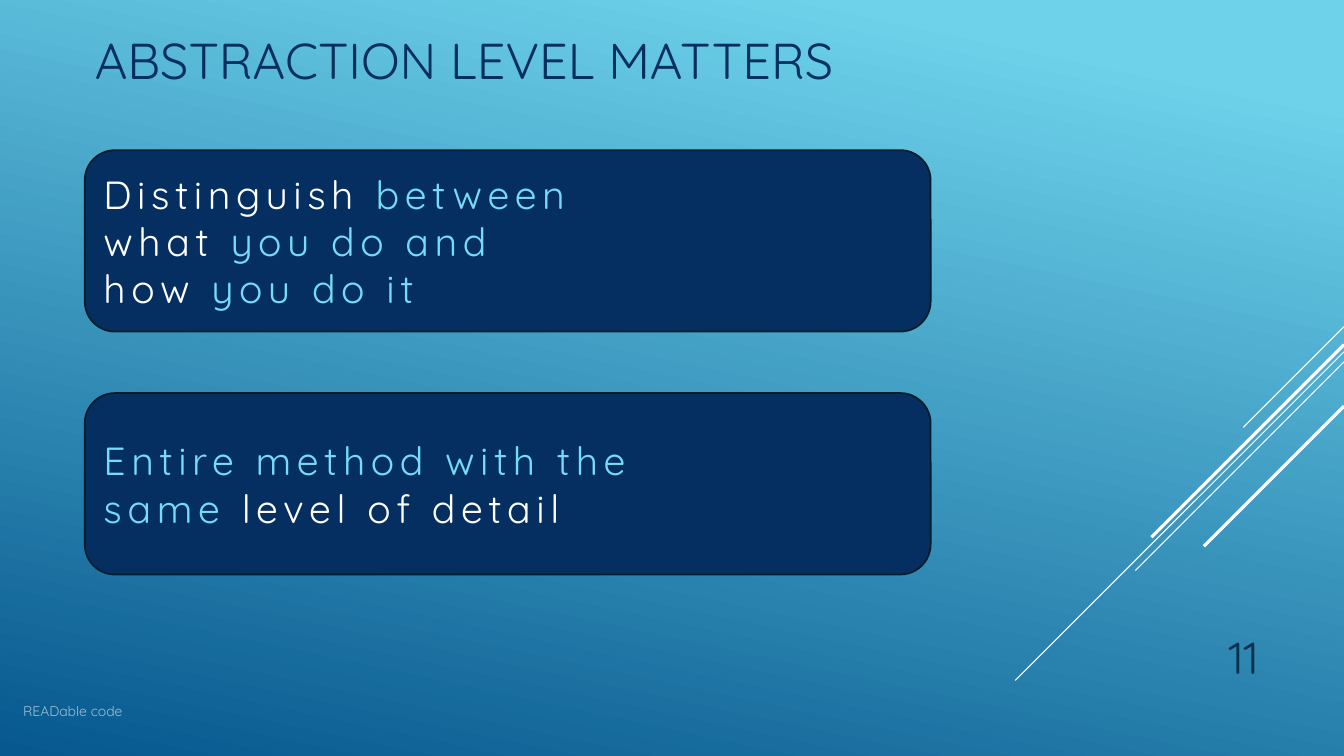
import pptx
import pptx.util
import pptx.dml.color
import pptx.enum.shapes
import pptx.enum.text
import pptx.oxml.ns
from lxml import etree

Inches = pptx.util.Inches
ALIGN = pptx.enum.text.PP_ALIGN
ANCHOR = pptx.enum.text.MSO_ANCHOR
NAVY, SKY, WHITE = "052F61", "76DBF4", "FFFFFF"


def paint(color, code):
    """Set a colour from a hex string."""
    color.rgb = pptx.dml.color.RGBColor.from_string(code)


def write(frame, lines, size, color=WHITE, anchor=ANCHOR.MIDDLE,
          align=ALIGN.LEFT, after=0, gap=0, alpha=None):
    """Write lines of (text, colour) runs, or plain text, into a frame."""
    frame.word_wrap = True
    frame.vertical_anchor = anchor
    if isinstance(lines, str):
        lines = [[(lines, color)]]
    for i, line in enumerate(lines):
        para = frame.add_paragraph() if i else frame.paragraphs[0]
        para.alignment = align
        para.space_after = pptx.util.Pt(after)
        for text, code in line:
            run = para.add_run()
            run.text = text
            run.font.name = "Quicksand"
            run.font.size = pptx.util.Pt(size)
            paint(run.font.color, code)
            props = run.font._element
            if gap:
                props.set("spc", str(gap * 100))
            if alpha:
                fill = props.find(".//" + pptx.oxml.ns.qn("a:srgbClr"))
                etree.SubElement(fill, pptx.oxml.ns.qn("a:alpha"), val=str(alpha * 1000))


def backdrop(slide):
    """Fill the background with the slanted blue gradient."""
    fill = slide.background.fill
    fill.gradient()
    fill.gradient_angle = 258
    for stop, place, code in zip(fill.gradient_stops, (0.1, 1), ("6ED2EB", "06588E")):
        stop.position = place
        paint(stop.color, code)


def rays(slide, right):
    """Draw diagonal lines running down and left from the right edge."""
    for top, run, width in ((3.24, 1, 0.75), (3.49, 3.26, 0.75), (3.59, 2.07, 0.75),
                            (3.42, 1.91, 2.25), (4.03, 1.39, 2.25)):
        ray = slide.shapes.add_connector(
            pptx.enum.shapes.MSO_CONNECTOR.STRAIGHT, Inches(right), Inches(top),
            Inches(right - run), Inches(top + run))
        paint(ray.line.color, WHITE)
        ray.line.width = pptx.util.Pt(width)
        etree.SubElement(ray._element.spPr, pptx.oxml.ns.qn("a:effectLst"))


def heading(slide, box, text):
    """Place the title placeholder in the box."""
    title = slide.shapes.title
    title.left, title.top, title.width, title.height = map(Inches, box)
    write(title.text_frame, text, 36, color=NAVY)


def card(slide, box, lines):
    """Draw a rounded navy card with spaced text."""
    shape = slide.shapes.add_shape(
        pptx.enum.shapes.MSO_SHAPE.ROUNDED_RECTANGLE, *map(Inches, box))
    shape.shadow.inherit = False
    shape.fill.solid()
    paint(shape.fill.fore_color, NAVY)
    paint(shape.line.color, "021E2B")
    shape.line.width = pptx.util.Pt(1.25)
    write(shape.text_frame, lines, 28, gap=4)


def label(slide, box, text, size, **style):
    """Add a text box in the box."""
    write(slide.shapes.add_textbox(*map(Inches, box)).text_frame, text, size, **style)


def main():
    """Build and save the slide."""
    deck = pptx.Presentation()
    deck.slide_width, deck.slide_height = Inches(13.33), Inches(7.5)
    slide = deck.slides.add_slide(deck.slide_layouts[5])
    backdrop(slide)
    rays(slide, 13.33)
    heading(slide, (0.84, -0.01, 9.33, 1.19), "ABSTRACTION LEVEL MATTERS")
    cards = (
        [[("Distinguish", WHITE), (" between", SKY)],
         [("what", WHITE), (" you do and", SKY)],
         [("how", WHITE), (" you do it", SKY)]],
        [[("Entire method with the", SKY)],
         [("same ", SKY), ("level of detail", WHITE)]],
    )
    for i, lines in enumerate(cards):
        card(slide, (0.84, 1.49 + i * 2.41, 8.39, 1.8), lines)
    label(slide, (11.33, 6.1, 1.25, 0.73), "11", 32, color="0A304A",
          anchor=ANCHOR.BOTTOM, align=ALIGN.RIGHT, after=6)
    label(slide, (0.13, 6.92, 8.25, 0.4), "READable code", 10,
          anchor=ANCHOR.TOP, alpha=60)
    deck.save("out.pptx")


if __name__ == "__main__":
    main()
